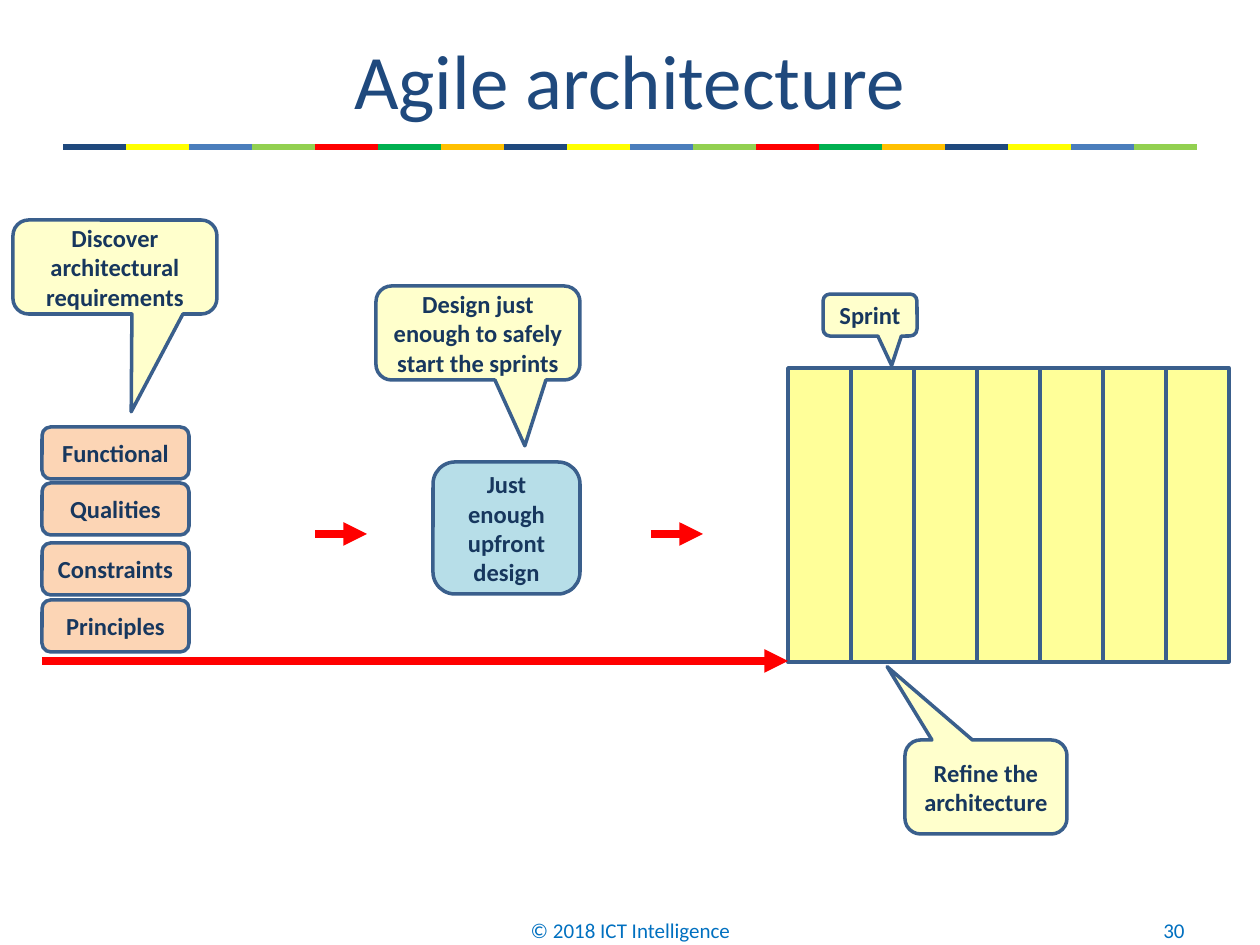
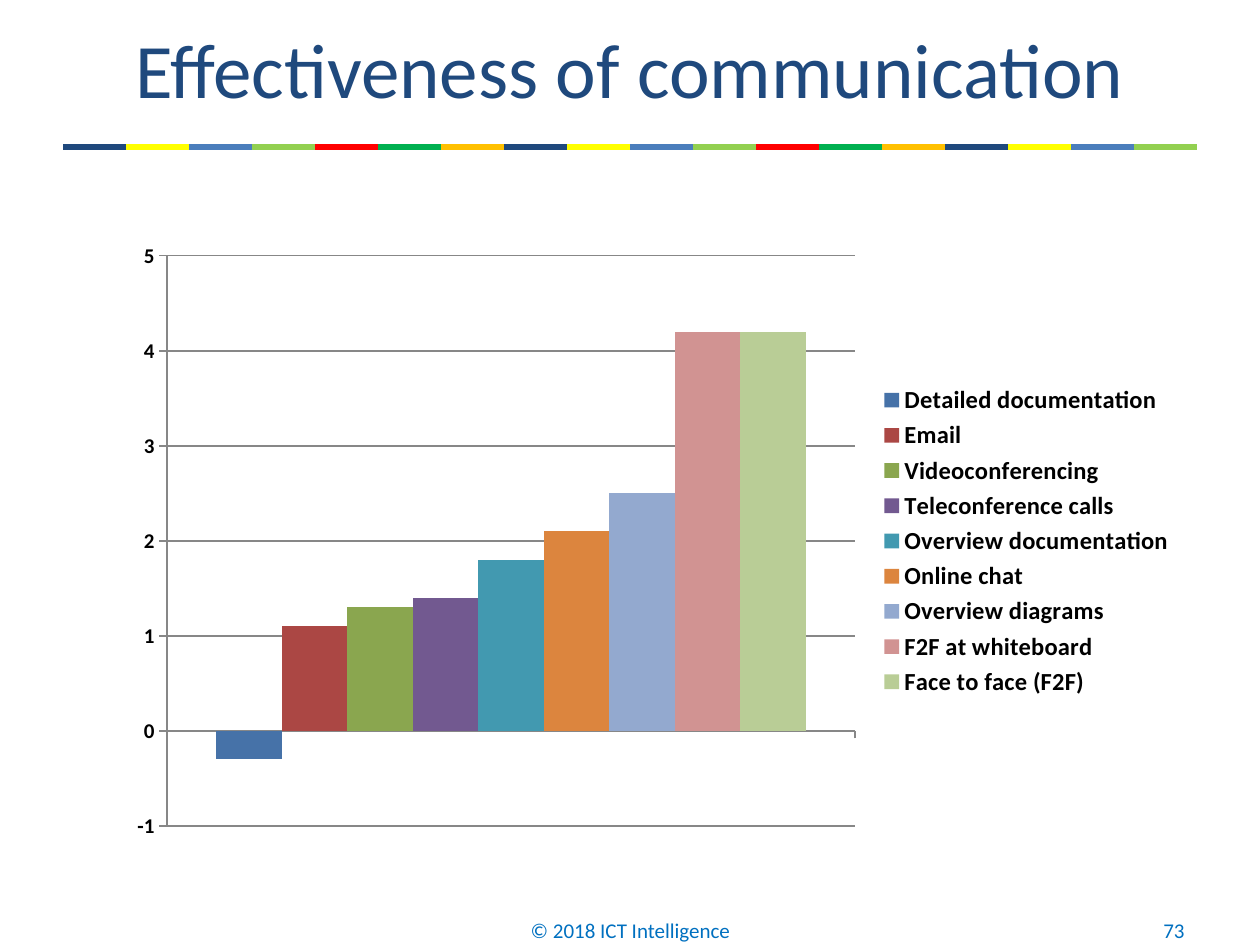
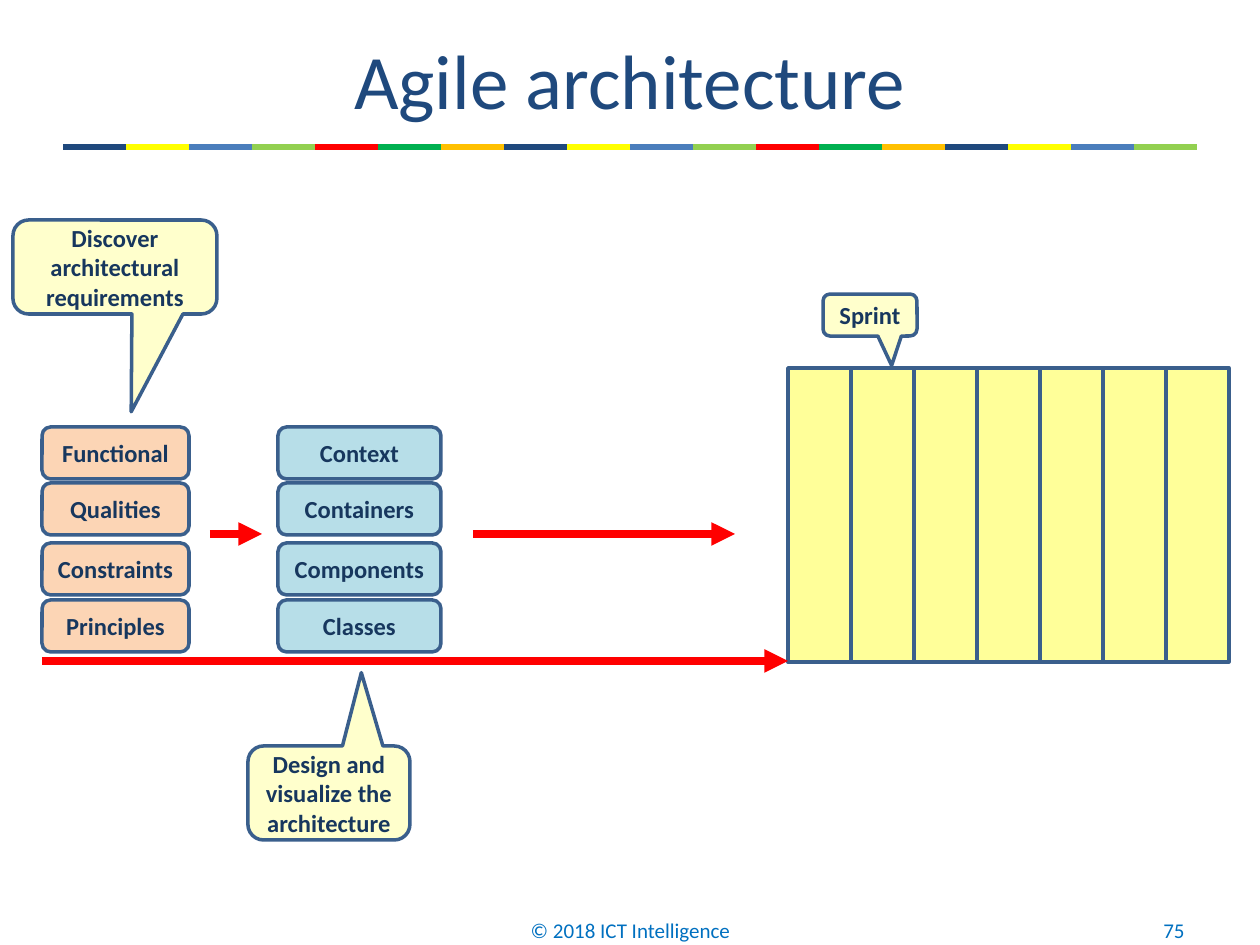
from lxml import etree
from pptx import Presentation
from pptx import util as u
from pptx.chart.data import CategoryChartData
from pptx.dml.color import RGBColor
from pptx.enum import chart as ch, shapes, text
from pptx.oxml.ns import qn

# Shared look
FACE = "Calibri"
NAVY, RED, EDGE = "1F497D", "FF0000", "3A5F8C"
PEACH, AQUA, CREAM, LEMON = "FCD5B5", "B7DEE8", "FFFFCC", "FFFF99"
BAND = [NAVY, "FFFF00", "4B7EBC", "92D050", RED, "00B050", "FFC000"]
TITLE = dict(size=44, color=NAVY, bold=False)
FOOT = dict(size=12, color="0070C0", bold=False)
LABEL = dict(size=14, color="17375E", bold=True)
MARK = "© 2018 ICT Intelligence"
RECT = shapes.MSO_SHAPE.RECTANGLE
ROUND = shapes.MSO_SHAPE.ROUNDED_RECTANGLE
CALL = shapes.MSO_SHAPE.ROUNDED_RECTANGULAR_CALLOUT
MID, RIGHT = text.PP_ALIGN.CENTER, text.PP_ALIGN.RIGHT

# Content: callouts are (words, box, tip); arrows are (x1, x2, y)
ROWS = [427, 483, 543, 600]
NEEDS = ["Functional", "Qualities", "Constraints", "Principles"]
VIEWS = ["Context", "Containers", "Components", "Classes"]
NOTES = [
    ("Sprint", (823, 294, 94, 42), (0.23, 1.2)),
    ("Discover architectural requirements", (13, 220, 204, 94), (0.08, 1.54)),
]
FLOW = (42, 788, 661)
PLANS = [
    dict(
        page=30,
        stacks=[(NEEDS, 42, 147, PEACH)],
        boxes=[("Just enough upfront design", (433, 462, 147, 132))],
        arrows=[(651, 703, 534), (315, 367, 534)],
        notes=[
            ("Design just enough to safely start the sprints",
             (376, 286, 204, 94), (0.23, 1.2)),
            ("Refine the architecture", (905, 740, 162, 94), (-0.61, -1.28)),
        ],
    ),
    dict(
        page=75,
        stacks=[(NEEDS, 42, 147, PEACH), (VIEWS, 278, 163, AQUA)],
        boxes=[],
        arrows=[(210, 262, 534), (473, 735, 534)],
        notes=[("Design and visualize the architecture",
                (248, 746, 162, 94), (0.2, -1.28))],
    ),
]
SCORES = [
    ("Detailed documentation", -0.3, "4672A8"),
    ("Email", 1.1, "AB4744"),
    ("Videoconferencing", 1.3, "8AA64F"),
    ("Teleconference calls", 1.4, "725990"),
    ("Overview documentation", 1.8, "4299B0"),
    ("Online chat", 2.1, "DC853E"),
    ("Overview diagrams", 2.5, "93A9CF"),
    ("F2F at whiteboard", 4.2, "D19392"),
    ("Face to face (F2F)", 4.2, "B9CD96"),
]


# Helpers
def px(n):
    return u.Emu(round(n * 914400 / 126))


def hue(code):
    return RGBColor.from_string(code)


def style(font, size, color, bold):
    for key, val in dict(name=FACE, size=u.Pt(size), bold=bold).items():
        setattr(font, key, val)
    font.color.rgb = hue(color)


def write(shape, words, form, align=MID):
    frame = shape.text_frame
    frame.text = words
    frame.word_wrap = True
    frame.vertical_anchor = text.MSO_ANCHOR.MIDDLE
    para = frame.paragraphs[0]
    para.alignment = align
    style(para.runs[0].font, **form)


def line(slide, x1, x2, y, color, width, head=False):
    link = slide.shapes.add_connector(
        shapes.MSO_CONNECTOR.STRAIGHT, px(x1), px(y), px(x2), px(y))
    link.line.color.rgb = hue(color)
    link.line.width = u.Pt(width)
    if head:
        etree.SubElement(link.line._get_or_add_ln(), qn("a:tailEnd"), type="triangle")
    etree.SubElement(link.element.spPr, qn("a:effectLst"))
    return link


def block(slide, kind, box, fill, words="", tip=()):
    shape = slide.shapes.add_shape(kind, *map(px, box))
    shape.shadow.inherit = False
    shape.fill.solid()
    shape.fill.fore_color.rgb = hue(fill)
    shape.line.color.rgb = hue(EDGE)
    shape.line.width = u.Pt(2)
    for i, val in enumerate(tip):
        shape.adjustments[i] = val
    if words:
        write(shape, words, LABEL)


def start(deck, title, page, top=21):
    slide = deck.slides.add_slide(deck.slide_layouts[5])
    head = slide.shapes.title
    spot = dict(left=63, top=top, width=1134, height=116)
    for key, val in spot.items():
        setattr(head, key, px(val))
    write(head, title, TITLE)
    for words, x, wide, align in [(MARK, 431, 399, MID), (str(page), 903, 294, RIGHT)]:
        foot = slide.shapes.add_textbox(px(x), px(905), px(wide), px(50))
        write(foot, words, FOOT, align)
    return slide


# The colour band lives on the layout
def band(deck, slide):
    tree = deck.slide_layouts[5].shapes.element
    for i in range(18):
        x = 63 * (i + 1)
        tree.append(line(slide, x, x + 63, 147, BAND[i % len(BAND)], 3.5).element)


# Process slides
def process(deck, plan):
    slide = start(deck, "Agile architecture", plan["page"])
    for i in range(7):
        block(slide, RECT, (788 + 63 * i, 368, 63, 294), LEMON)
    for names, x, wide, fill in plan["stacks"]:
        for name, y in zip(names, ROWS):
            block(slide, ROUND, (x, y, wide, 52), fill, name)
    for words, box in plan["boxes"]:
        block(slide, ROUND, box, AQUA, words)
    for x1, x2, y in [FLOW] + plan["arrows"]:
        line(slide, x1, x2, y, RED, 4.5, head=True)
    for words, box, tip in NOTES + plan["notes"]:
        block(slide, CALL, box, CREAM, words, tip)
    return slide


# Chart slide
def scores(deck):
    slide = start(deck, "Effectiveness of communication", 73, top=10)
    data = CategoryChartData()
    data.categories = [" "]
    for name, val, _ in SCORES:
        data.add_series(name, [val])
    chart = slide.shapes.add_chart(
        ch.XL_CHART_TYPE.COLUMN_CLUSTERED,
        *map(px, (116, 231, 1071, 620)), data).chart
    style(chart.font, 12, "000000", True)
    chart.has_title = False
    chart.has_legend = True
    chart.legend.position = ch.XL_LEGEND_POSITION.RIGHT
    chart.legend.include_in_layout = False
    style(chart.legend.font, 14, "000000", True)
    plot = chart.plots[0]
    for key, val in dict(gap_width=150, overlap=0, vary_by_categories=False).items():
        setattr(plot, key, val)
    for bar, (_, _, color) in zip(plot.series, SCORES):
        bar.invert_if_negative = False
        bar.format.fill.solid()
        bar.format.fill.fore_color.rgb = hue(color)
    axis = chart.value_axis
    for key, val in dict(minimum_scale=-1, maximum_scale=5, major_unit=1,
                         has_major_gridlines=True).items():
        setattr(axis, key, val)
    chart.category_axis.tick_label_position = ch.XL_TICK_LABEL_POSITION.NONE
    for part in (axis, chart.category_axis, axis.major_gridlines):
        part.format.line.color.rgb = hue("878787")
        part.format.line.width = u.Pt(0.75)
    for part in (axis, chart.category_axis):
        part.major_tick_mark = ch.XL_TICK_MARK.OUTSIDE


def main():
    deck = Presentation()
    deck.slide_width, deck.slide_height = px(1260), px(945)
    first = process(deck, PLANS[0])
    band(deck, first)
    scores(deck)
    process(deck, PLANS[1])
    deck.save("out.pptx")


if __name__ == "__main__":
    main()
